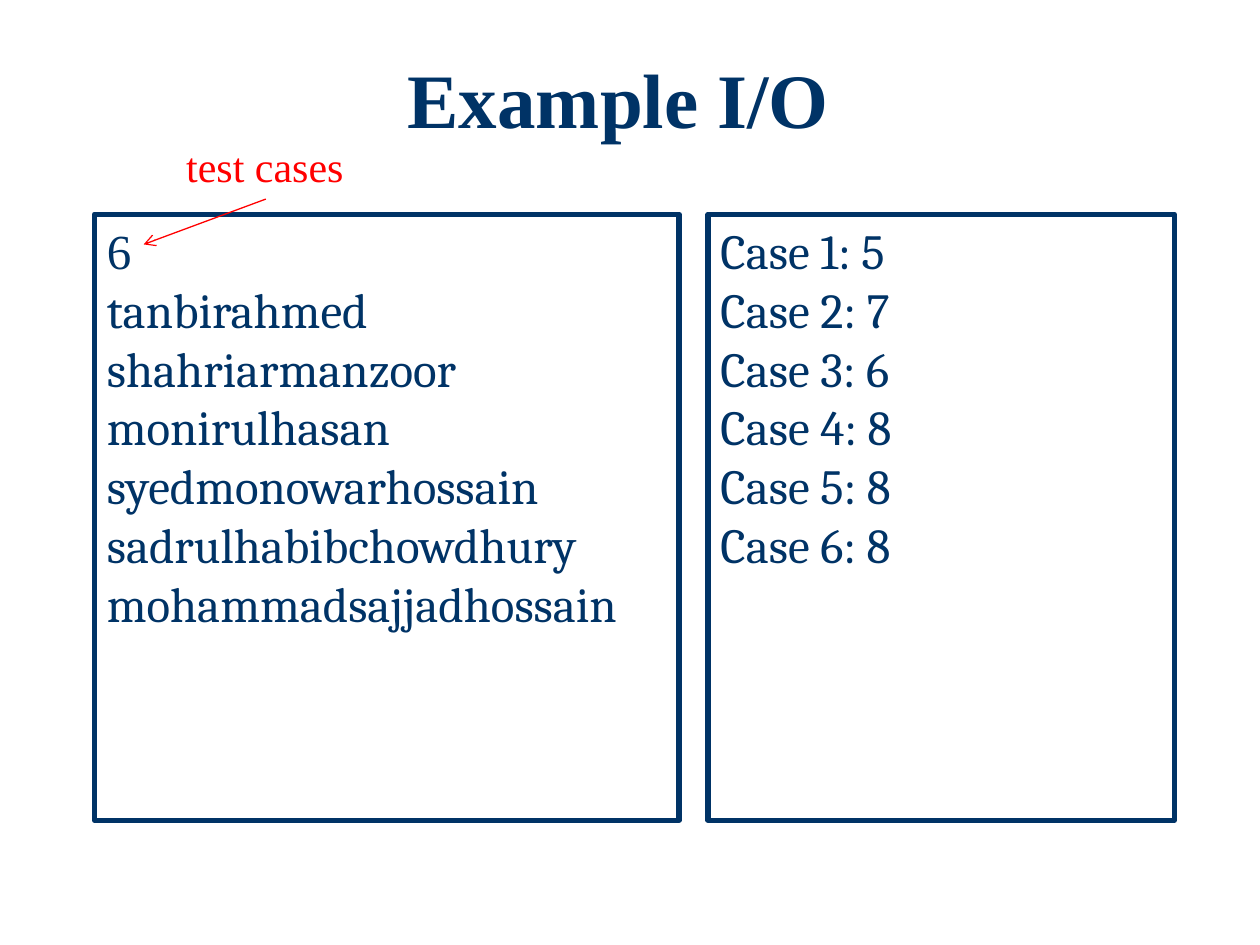
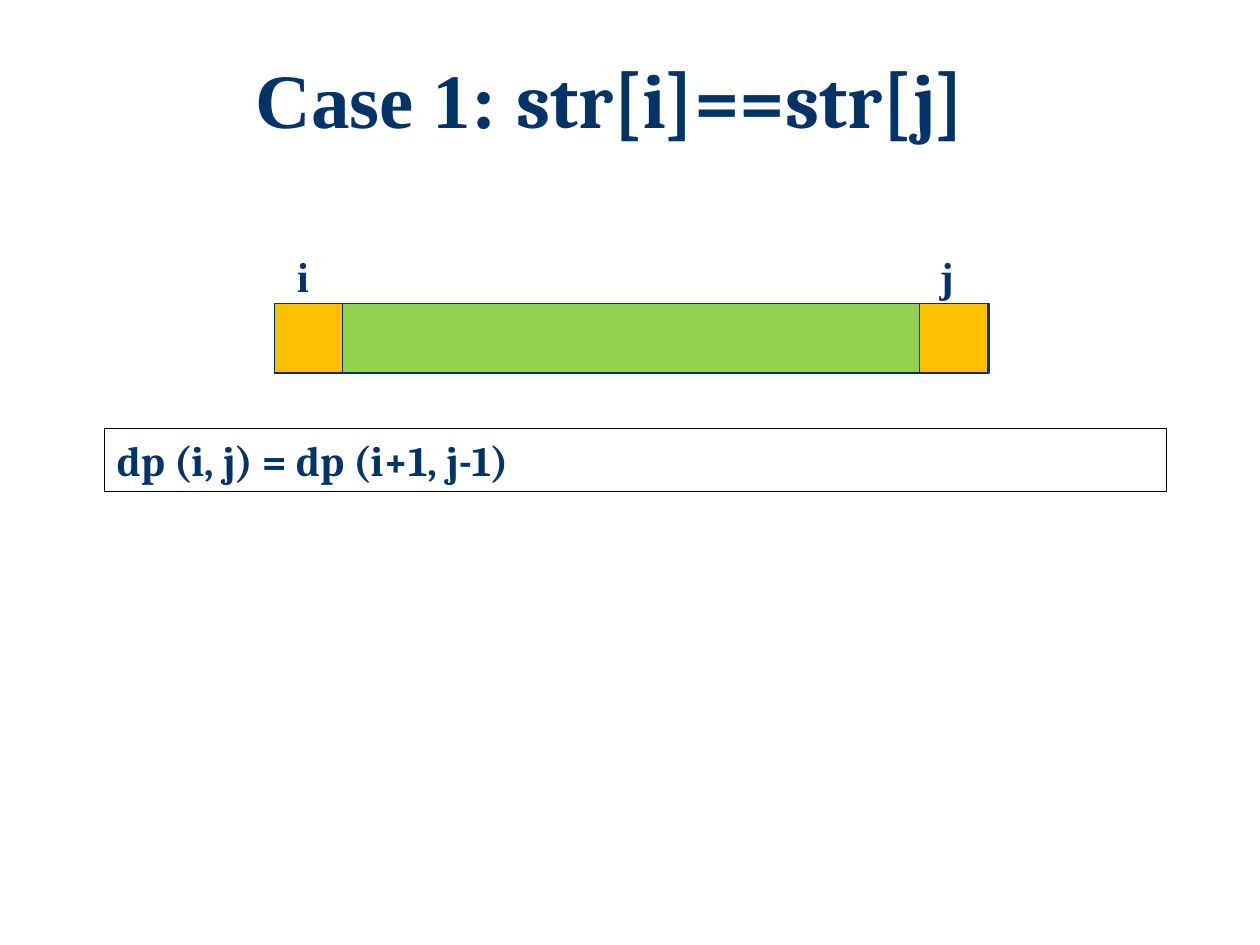
from dataclasses import dataclass

from lxml.etree import SubElement
from pptx import Presentation
from pptx.dml.color import RGBColor
from pptx.enum.shapes import MSO_CONNECTOR, MSO_SHAPE
from pptx.enum.text import MSO_ANCHOR, PP_ALIGN
from pptx.oxml.ns import qn
from pptx.util import Inches, Pt


@dataclass(frozen=True)
class Theme:
    navy: str = "003366"
    red: str = "FF0000"
    black: str = "000000"
    white: str = "FFFFFF"
    green: str = "92D050"
    amber: str = "FFC000"
    serif: str = "Times New Roman"
    code: str = "Cambria"
    title_size: int = 44
    sample_size: int = 28
    label_size: int = 24
    thick: float = 3
    thin: float = 0.75


THEME = Theme()

# Content: each line is a list of (text, font) runs
EXAMPLE_TITLE = [("Example I/O", THEME.serif)]
NAMES = ["tanbirahmed", "shahriarmanzoor", "monirulhasan",
         "syedmonowarhossain", "sadrulhabibchowdhury", "mohammadsajjadhossain"]
ANSWERS = [5, 7, 6, 8, 8, 8]
SAMPLE_INPUT = [[(str(len(NAMES)), THEME.serif)]] + [[(name, THEME.code)] for name in NAMES]
SAMPLE_OUTPUT = [[(f"Case {number}: {answer}", THEME.code)]
                 for number, answer in enumerate(ANSWERS, start=1)]
COUNT_LABEL = "test cases"

MATCH_TITLE = [("Case 1: ", THEME.serif), ("str[i]==str[j] ", THEME.code)]
RECURRENCE = "dp (i, j) = dp (i+1, j-1)"

# Layout, in inches
TITLE_BOX = (0.91, 0.36, 8, 0.92)
SAMPLE_TOP, SAMPLE_HEIGHT = 1.7, 4.81
SAMPLES = [(0.75, 4.64, SAMPLE_INPUT), (5.62, 3.7, SAMPLE_OUTPUT)]
STRING_LEFT, STRING_TOP, STRING_WIDTH, STRING_HEIGHT = 2.18, 2.41, 5.67, 0.55
END_WIDTH = 0.54
LABEL_TOP, LABEL_HEIGHT = 1.94, 0.5
ENDS = [("i", STRING_LEFT, 2.26),
        ("j", STRING_LEFT + STRING_WIDTH - END_WIDTH - 0.01, 7.36)]


def color(value):
    return RGBColor.from_string(value)


def write(shape, lines, *, size, ink=THEME.navy, bold=False, align=PP_ALIGN.LEFT,
          anchor=MSO_ANCHOR.TOP, spacing=None, wrap=True):
    """Fill a shape with lines, each a list of (text, font) runs."""
    frame = shape.text_frame
    frame.word_wrap = wrap
    frame.vertical_anchor = anchor
    for index, line in enumerate(lines):
        paragraph = frame.add_paragraph() if index else frame.paragraphs[0]
        paragraph.alignment = align
        if spacing:
            paragraph.line_spacing = spacing
        for text, font in line:
            run = paragraph.add_run()
            run.text = text
            run.font.name = font
            run.font.size = Pt(size)
            run.font.bold = bold
            run.font.color.rgb = color(ink)


def add_box(slide, left, top, width, height, *, fill=THEME.white,
            outline=THEME.navy, weight=THEME.thin):
    box = slide.shapes.add_shape(MSO_SHAPE.RECTANGLE, *map(Inches, (left, top, width, height)))
    box.shadow.inherit = False
    box.fill.solid()
    box.fill.fore_color.rgb = color(fill)
    box.line.color.rgb = color(outline)
    box.line.width = Pt(weight)
    return box


def add_label(slide, text, left, top, width, **style):
    label = slide.shapes.add_textbox(*map(Inches, (left, top, width, LABEL_HEIGHT)))
    write(label, [[(text, THEME.serif)]], size=THEME.label_size, wrap=False, **style)


def add_arrow(slide, start, end, ink):
    arrow = slide.shapes.add_connector(MSO_CONNECTOR.STRAIGHT, *map(Inches, start + end))
    arrow.line.color.rgb = color(ink)
    arrow.line.width = Pt(THEME.thin)
    SubElement(arrow.line._get_or_add_ln(), qn("a:tailEnd"), type="arrow")
    SubElement(arrow._element.spPr, qn("a:effectLst"))


def add_titled_slide(deck, title):
    slide = deck.slides.add_slide(deck.slide_layouts[6])
    heading = slide.shapes.add_textbox(*map(Inches, TITLE_BOX))
    write(heading, [title], size=THEME.title_size, bold=True, align=PP_ALIGN.CENTER,
          anchor=MSO_ANCHOR.MIDDLE, spacing=0.9)
    return slide


def build_example(deck):
    slide = add_titled_slide(deck, EXAMPLE_TITLE)
    # Sample input and output side by side
    for left, width, lines in SAMPLES:
        sample = add_box(slide, left, SAMPLE_TOP, width, SAMPLE_HEIGHT, weight=THEME.thick)
        write(sample, lines, size=THEME.sample_size)
    # Callout on the first input line
    add_label(slide, COUNT_LABEL, 1.38, 1.07, 1.46, ink=THEME.red)
    add_arrow(slide, (2.11, 1.58), (1.14, 1.94), THEME.red)


def build_match(deck):
    slide = add_titled_slide(deck, MATCH_TITLE)
    # String with its two matching ends
    add_box(slide, STRING_LEFT, STRING_TOP, STRING_WIDTH, STRING_HEIGHT, fill=THEME.green)
    for index, end_left, label_left in ENDS:
        add_box(slide, end_left, STRING_TOP, END_WIDTH, STRING_HEIGHT, fill=THEME.amber)
        add_label(slide, index, label_left, LABEL_TOP, 0.3, bold=True)
    # Recurrence
    recurrence = add_box(slide, 0.83, 3.4, 8.43, 0.5, outline=THEME.black)
    write(recurrence, [[(RECURRENCE, THEME.code)]], size=THEME.label_size, bold=True)


def main():
    deck = Presentation()
    deck.slide_width, deck.slide_height = Inches(10), Inches(7.5)
    build_example(deck)
    build_match(deck)
    deck.save("out.pptx")


if __name__ == "__main__":
    main()
